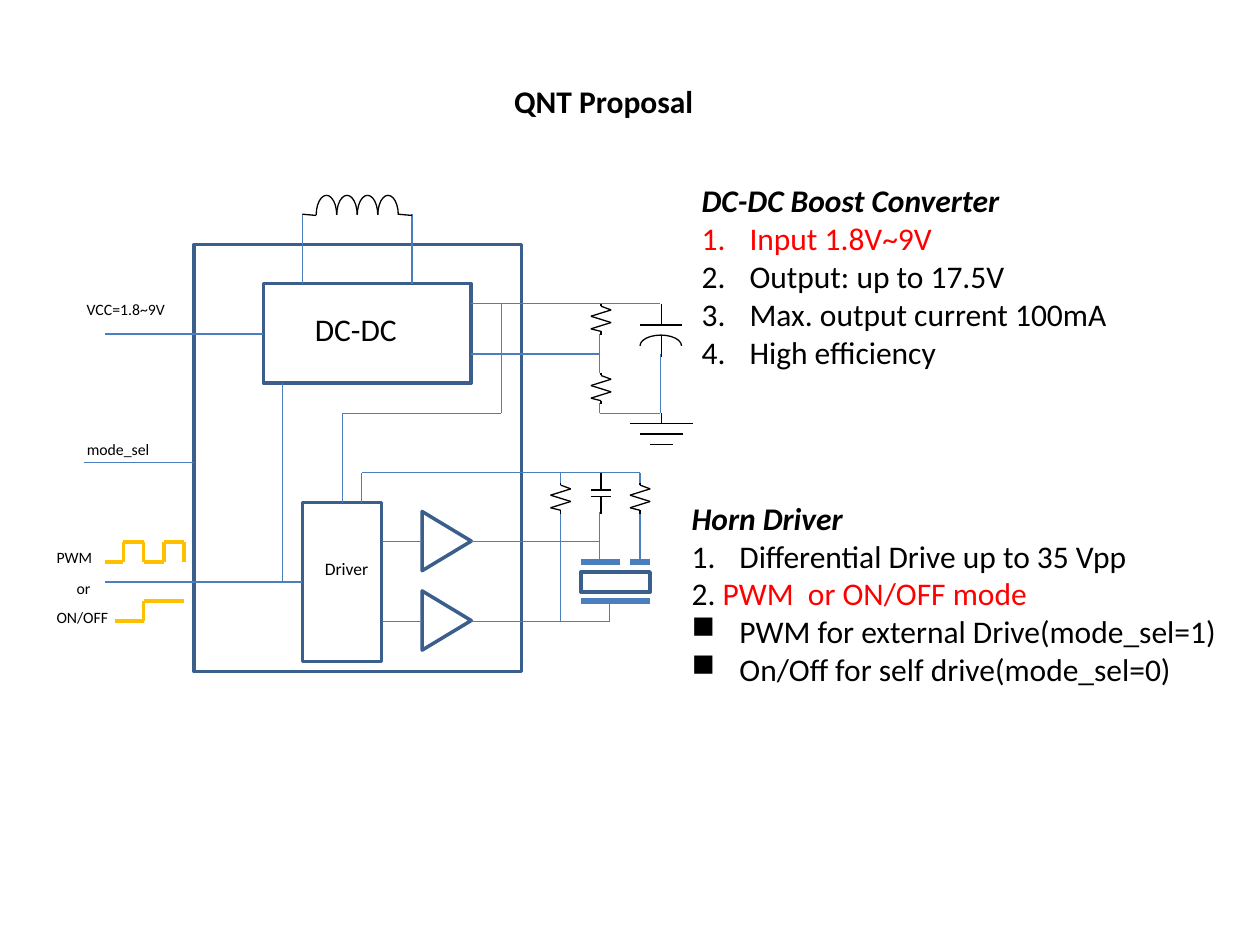
from itertools import pairwise

from lxml import etree
from pptx import Presentation
from pptx.dml.color import RGBColor
from pptx.enum.shapes import MSO_CONNECTOR, MSO_SHAPE
from pptx.enum.text import MSO_ANCHOR, MSO_AUTO_SIZE, PP_ALIGN
from pptx.oxml.ns import qn
from pptx.util import Inches, Pt

STRAIGHT = MSO_CONNECTOR.STRAIGHT
RECT, TRIANGLE, ARC = MSO_SHAPE.RECTANGLE, MSO_SHAPE.ISOSCELES_TRIANGLE, MSO_SHAPE.ARC
TOP, LEFT, FIT = MSO_ANCHOR.TOP, PP_ALIGN.LEFT, MSO_AUTO_SIZE.SHAPE_TO_FIT_TEXT
TITLE_ONLY = 5
BLACK, RED, WIRE, BLOCK, SIGNAL = "000000", "FF0000", "4B7EBC", "3A5F8C", "FFC000"
HANGING = 0.38


def color(target, value):
    """Set a colour format, such as a font or line colour, from a hex string."""
    target.rgb = RGBColor.from_string(value)


def wire(shapes, *points, ink=WIRE, width=0.75):
    """Join successive points with straight connectors."""
    for start, end in pairwise(points):
        segment = shapes.add_connector(STRAIGHT, *map(Inches, start + end))
        color(segment.line.color, ink)
        segment.line.width = Pt(width)
        etree.SubElement(segment._element.spPr, qn("a:effectLst"))


def outline(shapes, kind, box, ink=BLOCK, width=2, rotation=0, mirrored=False):
    """Add an unfilled preset shape."""
    part = shapes.add_shape(kind, *map(Inches, box))
    part.shadow.inherit = False
    part.fill.background()
    color(part.line.color, ink)
    part.line.width = Pt(width)
    part.rotation = rotation
    if mirrored:
        part._element.spPr.find(qn("a:xfrm")).set("flipH", "1")


def dome(shapes, box):
    """Draw the upper half of an ellipse as two quarter arcs."""
    for mirrored in (False, True):
        outline(shapes, ARC, box, ink=BLACK, width=0.75, mirrored=mirrored)


def add_run(paragraph, text, size=18, ink=BLACK, bold=False, italic=False):
    """Add one formatted run."""
    run = paragraph.add_run()
    run.text = text
    font = run.font
    font.name, font.size, font.bold, font.italic = "Calibri", Pt(size), bold, italic
    color(font.color, ink)


def prepare_frame(holder, box, wrap=False):
    """Place a text holder and return its frame, anchored at the top."""
    holder.left, holder.top, holder.width, holder.height = map(Inches, box)
    frame = holder.text_frame
    frame.word_wrap, frame.vertical_anchor, frame.auto_size = wrap, TOP, FIT
    frame.paragraphs[0].alignment = LEFT
    return frame


def label(shapes, text, box, wrap=False, **style):
    """Add a one-line text box."""
    frame = prepare_frame(shapes.add_textbox(0, 0, 0, 0), box, wrap)
    add_run(frame.paragraphs[0], text, **style)


def feature_list(shapes, box, heading, items):
    """Add a heading with hanging items; each item is (marker, (text, colour)...)."""
    frame = prepare_frame(shapes.add_textbox(0, 0, 0, 0), box)
    add_run(frame.paragraphs[0], heading, bold=True, italic=True)
    for marker, *runs in items:
        paragraph = frame.add_paragraph()
        properties = paragraph._p.get_or_add_pPr()
        properties.set("marL", str(Inches(HANGING)))
        properties.set("indent", str(-Inches(HANGING)))
        if marker == "1.":
            etree.SubElement(properties, qn("a:buAutoNum"), type="arabicPeriod")
        elif marker:
            etree.SubElement(properties, qn("a:buChar"), char=marker)
        for text, ink in runs:
            add_run(paragraph, text, ink=ink)


def resistor(shapes, x, y):
    """Draw a vertical zigzag resistor whose upper end is at x, y."""
    zigzag = [(0, 0), (0, 0.02), (0.08, 0.05), (-0.08, 0.1), (0.08, 0.15),
              (-0.08, 0.2), (0, 0.22), (0, 0.25)]
    wire(shapes.add_group_shape().shapes, *[(x + dx, y + dy) for dx, dy in zigzag], ink=BLACK)


def inductor(shapes):
    """Draw the coil above the converter."""
    coil = shapes.add_group_shape().shapes
    for x in (2.4, 3.16):
        wire(coil, (x, 1.7), (x + 0.11, 1.71), ink=BLACK)
    for turn in range(4):
        dome(coil, (2.51 + turn * 0.163, 1.55, 0.163, 0.31))


def capacitors_and_ground(shapes):
    """Draw the output capacitor, the ground sign and the horn capacitor."""
    output = shapes.add_group_shape().shapes
    wire(output, (5.08, 2.58), (5.41, 2.58), ink=BLACK)
    for top, bottom in ((2.41, 2.58), (2.66, 2.83)):
        wire(output, (5.25, top), (5.25, bottom), ink=BLACK)
    dome(output, (5.08, 2.66, 0.33, 0.17))

    ground = shapes.add_group_shape().shapes
    wire(ground, (5.25, 3.28), (5.25, 3.36), ink=BLACK)
    for step, half in enumerate((0.25, 0.17, 0.09)):
        y = 3.36 + step * 0.085
        wire(ground, (5.25 - half, y), (5.25 + half, y), ink=BLACK)

    horn = shapes.add_group_shape().shapes
    for end, plate in ((3.75, 3.89), (4.08, 3.94)):
        wire(horn, (4.77, end), (4.77, plate), ink=BLACK)
        wire(horn, (4.69, plate), (4.85, plate), ink=BLACK)


def circuit(shapes):
    """Draw the chip, its blocks, the wiring and the outer components."""
    for block in ((2.4, 3.99, 0.63, 1.26), (2.09, 2.25, 1.65, 0.79),
                  (1.54, 1.94, 2.6, 3.39), (4.61, 4.54, 0.55, 0.16)):
        outline(shapes, RECT, block)
    for y, output_end in ((4.3, 4.76), (4.93, 4.84)):
        outline(shapes, TRIANGLE, (3.31, y - 0.2, 0.47, 0.39), rotation=90)
        wire(shapes, (3.03, y), (3.35, y))
        wire(shapes, (3.74, y), (output_end, y))

    routes = [
        [(2.87, 3.99), (2.87, 3.75), (5.08, 3.75), (5.08, 3.83)],
        [(2.72, 3.99), (2.72, 3.28), (3.98, 3.28), (3.98, 2.41)],
        [(0.83, 4.62), (2.4, 4.62)], [(2.24, 4.62), (2.24, 3.04)],
        [(0.83, 2.65), (2.09, 2.65)], [(0.67, 3.67), (1.54, 3.67)],
        [(2.4, 1.7), (2.4, 2.25)], [(3.27, 1.7), (3.27, 2.25)],
        [(3.74, 2.41), (5.24, 2.41)], [(3.74, 2.81), (4.76, 2.81)],
        [(4.76, 2.65), (4.76, 2.96)],
        [(4.76, 3.2), (4.76, 3.28), (5.24, 3.28), (5.24, 2.81)],
        [(4.45, 3.75), (4.45, 3.83)], [(4.45, 4.06), (4.45, 4.93)],
        [(4.76, 4.06), (4.76, 4.3), (4.76, 4.46)], [(5.08, 4.06), (5.08, 4.46)],
        [(4.84, 4.93), (4.84, 4.77)],
    ]
    for route in routes:
        wire(shapes, *route)
    for left, right, y in ((4.61, 5.16, 4.77), (4.61, 4.92, 4.46), (5, 5.16, 4.46)):
        wire(shapes, (left, y), (right, y), width=3)

    inductor(shapes)
    capacitors_and_ground(shapes)
    for x, y in ((4.77, 2.41), (4.77, 2.96), (4.45, 3.83), (5.08, 3.83)):
        resistor(shapes, x, y)


def input_signals(shapes):
    """Draw the pulse train and the step waveform."""
    low, high = 4.46, 4.3
    wire(shapes, (0.83, low), (0.98, low), (0.98, high), (1.14, high), (1.14, low),
         (1.3, low), (1.3, high), (1.46, high), (1.46, low), ink=SIGNAL, width=2)
    wire(shapes, (0.91, 4.93), (1.14, 4.93), (1.14, 4.77), (1.46, 4.77), ink=SIGNAL, width=2)


def main():
    """Build the slide and save it."""
    deck = Presentation()
    deck.slide_width, deck.slide_height = Inches(10), Inches(7.5)
    slide = deck.slides.add_slide(deck.slide_layouts[TITLE_ONLY])
    shapes = slide.shapes

    heading = prepare_frame(shapes.title, (3.98, 0.6, 1.68, 0.4))
    add_run(heading.paragraphs[0], "QNT Proposal", bold=True)

    circuit(shapes)
    input_signals(shapes)

    label(shapes, "DC-DC", (2.4, 2.41, 0.86, 0.4))
    label(shapes, "Driver", (2.48, 4.38, 0.55, 0.27), size=10)
    for text, box in (("VCC=1.8~9V", (0.59, 2.33, 0.83, 0.25)),
                      ("mode_sel", (0.59, 3.44, 0.71, 0.25)),
                      ("PWM", (0.35, 4.3, 0.49, 0.25)),
                      ("or", (0.51, 4.54, 0.31, 0.25))):
        label(shapes, text, box, size=9)
    label(shapes, "ON/OFF", (0.35, 4.77, 0.62, 0.25), wrap=True, size=9)

    feature_list(shapes, (5.47, 1.39, 3.45, 1.92), "DC-DC Boost Converter", [
        ("1.", ("Input 1.8V~9V", RED)),
        ("1.", ("Output: up to 17.5V", BLACK)),
        ("1.", ("Max. output current 100mA", BLACK)),
        ("1.", ("High efficiency", BLACK)),
    ])
    feature_list(shapes, (5.39, 3.91, 4.41, 1.62), "Horn Driver", [
        ("1.", ("Differential Drive up to 35 Vpp", BLACK)),
        (None, ("2. ", BLACK), ("PWM  or ON/OFF mode ", RED)),
        ("■", ("PWM for external Drive(mode_sel=1)", BLACK)),
        ("■", ("On/Off for self drive(mode_sel=0)", BLACK)),
    ])
    deck.save("out.pptx")


main()
